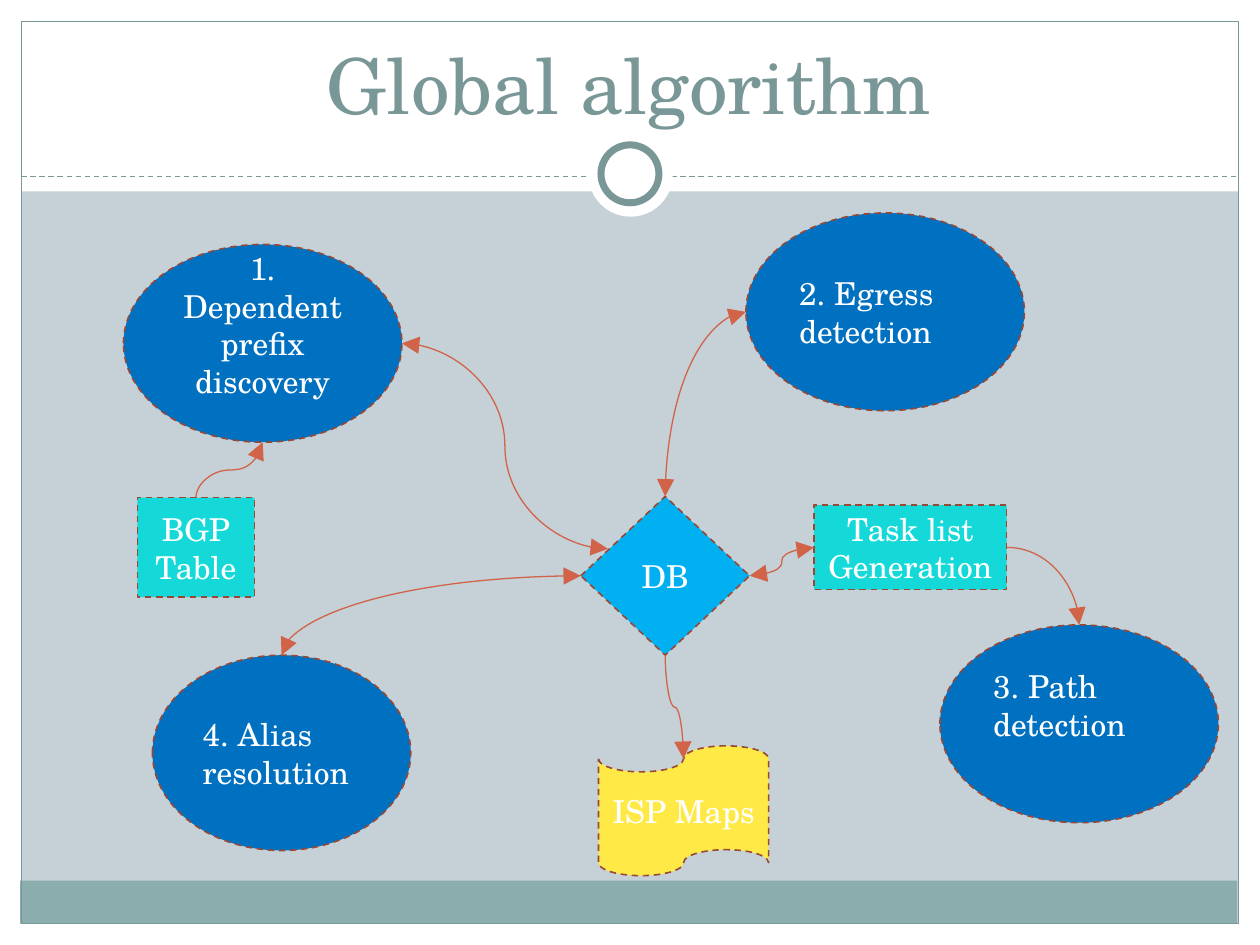
import pptx
import pptx.dml.color
import pptx.enum.dml
import pptx.enum.shapes
import pptx.enum.text
import pptx.oxml.ns
import pptx.util
from lxml import etree

SHAPE = pptx.enum.shapes.MSO_SHAPE
ALIGN = pptx.enum.text.PP_ALIGN
DASH = pptx.enum.dml.MSO_LINE.DASH
qn = pptx.oxml.ns.qn
FONT = "TeX Gyre Schola"
WHITE, TEAL, SAGE, BACKGROUND = "FFFFFF", "7A9798", "8CADAE", "C5D1D7"
BLUE, SKY, CYAN, YELLOW = "0070C0", "00B0F0", "15D9D9", "FFE947"
BROWN, ORANGE = "984835", "D16349"


def paint(color_format, value):
    """Give a fill, a line fill or a font colour a hex colour."""
    if hasattr(color_format, "solid"):
        color_format.solid()
        color_format = color_format.fore_color
    color_format.rgb = pptx.dml.color.RGBColor.from_string(value)


presentation = pptx.Presentation()
presentation.slide_width = pptx.util.Inches(10)
presentation.slide_height = pptx.util.Inches(7.5)
# Grid of 100 columns by 75 rows
column = presentation.slide_width / 100
row = presentation.slide_height / 75
slide = presentation.slides.add_slide(presentation.slide_layouts[5])
paint(slide.background.fill, BACKGROUND)


def add_box(kind, box, fill, line, width=0.75):
    """Add a preset shape; box is left, top, width, height on the grid."""
    left, top, across, down = box
    shape = slide.shapes.add_shape(kind, int(left * column), int(top * row),
                                   int(across * column), int(down * row))
    shape.shadow.inherit = False
    for part, color in ((shape.fill, fill), (shape.line.fill, line)):
        if color:
            paint(part, color)
        else:
            part.background()
    if line:
        shape.line.width = pptx.util.Pt(width)
    return shape


# Page frame: margins, header, footer band and border
for box, fill, line in [
    ((0, 73.3, 100, 1.7), WHITE, None),
    ((0, 0, 100, 15.2), WHITE, None),
    ((0, 0, 1.7, 75), WHITE, None),
    ((98.3, 0, 1.7, 75), WHITE, None),
    ((1.6, 69.9, 96.6, 3.4), SAGE, None),
    ((1.7, 1.7, 96.6, 71.6), None, TEAL),
]:
    add_box(SHAPE.RECTANGLE, box, fill, line)

# Dashed header rule with the ring on it
rule = slide.shapes.add_connector(
    pptx.enum.shapes.MSO_CONNECTOR.STRAIGHT,
    int(1.7 * column), int(14 * row), int(98.3 * column), int(14 * row))
paint(rule.line.fill, TEAL)
rule.line.width = pptx.util.Pt(0.75)
rule.line.dash_style = DASH
etree.SubElement(rule.element.spPr, qn("a:effectLst"))
add_box(SHAPE.OVAL, (46.7, 10.5, 6.7, 6.7), WHITE, None)
add_box(SHAPE.OVAL, (47.7, 11.5, 4.6, 4.6), WHITE, TEAL, 4)

# Title, brought in front of the frame
title = slide.shapes.title
title.element.getparent().append(title.element)
title.left, title.top = int(3.3 * column), int(2.5 * row)
title.width, title.height = int(93.3 * column), int(8.3 * row)
title.text_frame.auto_size = pptx.enum.text.MSO_AUTO_SIZE.NONE
title.text_frame.vertical_anchor = pptx.enum.text.MSO_ANCHOR.BOTTOM
paragraph = title.text_frame.paragraphs[0]
paragraph.alignment = ALIGN.CENTER
run = paragraph.add_run()
run.text = "Global algorithm"
run.font.name, run.font.size = FONT, pptx.util.Pt(44)
paint(run.font.color, TEAL)

# Nodes: name, shape, box, fill, text, alignment, rows of space under the text
nodes = [
    ("prefix", SHAPE.OVAL, (9.8, 19.4, 22.1, 15.7), BLUE,
     "1. Dependent prefix discovery", ALIGN.CENTER, 3.5),
    ("egress", SHAPE.OVAL, (59.2, 16.9, 22.1, 15.7), BLUE,
     "2. Egress detection", ALIGN.LEFT, 0.5),
    ("alias", SHAPE.OVAL, (12.1, 52, 20.5, 15.5), BLUE,
     "4. Alias resolution", ALIGN.LEFT, 0.5),
    ("path", SHAPE.OVAL, (74.6, 49.6, 22.1, 15.7), BLUE,
     "3. Path detection", ALIGN.LEFT, 3.5),
    ("database", SHAPE.DIAMOND, (46.1, 39.4, 13.4, 12.6), SKY,
     "DB", ALIGN.CENTER, 0.5),
    ("table", SHAPE.RECTANGLE, (10.9, 39.5, 9.3, 7.9), CYAN,
     "BGP Table", ALIGN.CENTER, 0.5),
    ("tasks", SHAPE.RECTANGLE, (64.6, 40.1, 15.3, 6.7), CYAN,
     "Task list Generation", ALIGN.CENTER, 0.5),
    ("maps", SHAPE.FLOWCHART_PUNCHED_TAPE, (47.5, 59.2, 13.5, 10.3), YELLOW,
     "ISP Maps", ALIGN.CENTER, 0.5),
]
boxes = {}
for name, kind, box, fill, text, alignment, space in nodes:
    boxes[name] = box
    shape = add_box(kind, box, fill, BROWN, 0.9)
    shape.line.dash_style = DASH
    frame = shape.text_frame
    frame.word_wrap = True
    frame.vertical_anchor = pptx.enum.text.MSO_ANCHOR.MIDDLE
    frame.margin_bottom = int(space * row)
    paragraph = frame.paragraphs[0]
    paragraph.alignment = alignment
    run = paragraph.add_run()
    run.text = text
    run.font.name, run.font.size = FONT, pptx.util.Pt(18)
    paint(run.font.color, WHITE)

# Arrows: start and end as (node, share across, share down), form, both ends
arrows = [
    (("prefix", 1, 0.5), ("database", 0.16, 0.33), "across", True),
    (("egress", 0, 0.5), ("database", 0.5, 0), "corner", True),
    (("tasks", 0, 0.5), ("database", 1, 0.5), "across", True),
    (("database", 0, 0.5), ("alias", 0.5, 0), "corner", True),
    (("database", 0.5, 1), ("maps", 0.5, 0.1), "down", False),
    (("table", 0.5, 0), ("prefix", 0.5, 1), "down", False),
    (("tasks", 1, 0.5), ("path", 0.5, 0), "corner", False),
]
for start, end, form, both in arrows:
    points = []
    for name, across, down in (start, end):
        left, top, width, height = boxes[name]
        points += [(left + across * width) * column, (top + down * height) * row]
    x1, y1, x2, y2 = points
    if form == "down":  # lay the curve on its side; it is turned back below
        middle_x, middle_y = (x1 + x2) / 2, (y1 + y2) / 2
        half_x, half_y = (x2 - x1) / 2, (y2 - y1) / 2
        x1, y1 = middle_x + half_y, middle_y - half_x
        x2, y2 = middle_x - half_y, middle_y + half_x
    arrow = slide.shapes.add_connector(
        pptx.enum.shapes.MSO_CONNECTOR.CURVE, int(x1), int(y1), int(x2), int(y2))
    properties = arrow.element.spPr
    if form == "down":
        properties.find(qn("a:xfrm")).set("rot", str(270 * 60000))
    elif form == "corner":
        properties.find(qn("a:prstGeom")).set("prst", "curvedConnector2")
    paint(arrow.line.fill, ORANGE)
    arrow.line.width = pptx.util.Pt(0.75)
    line = properties.find(qn("a:ln"))
    for tag in ("a:headEnd", "a:tailEnd") if both else ("a:tailEnd",):
        etree.SubElement(line, qn(tag), type="triangle", w="lg", len="lg")
    etree.SubElement(properties, qn("a:effectLst"))

presentation.save("out.pptx")
